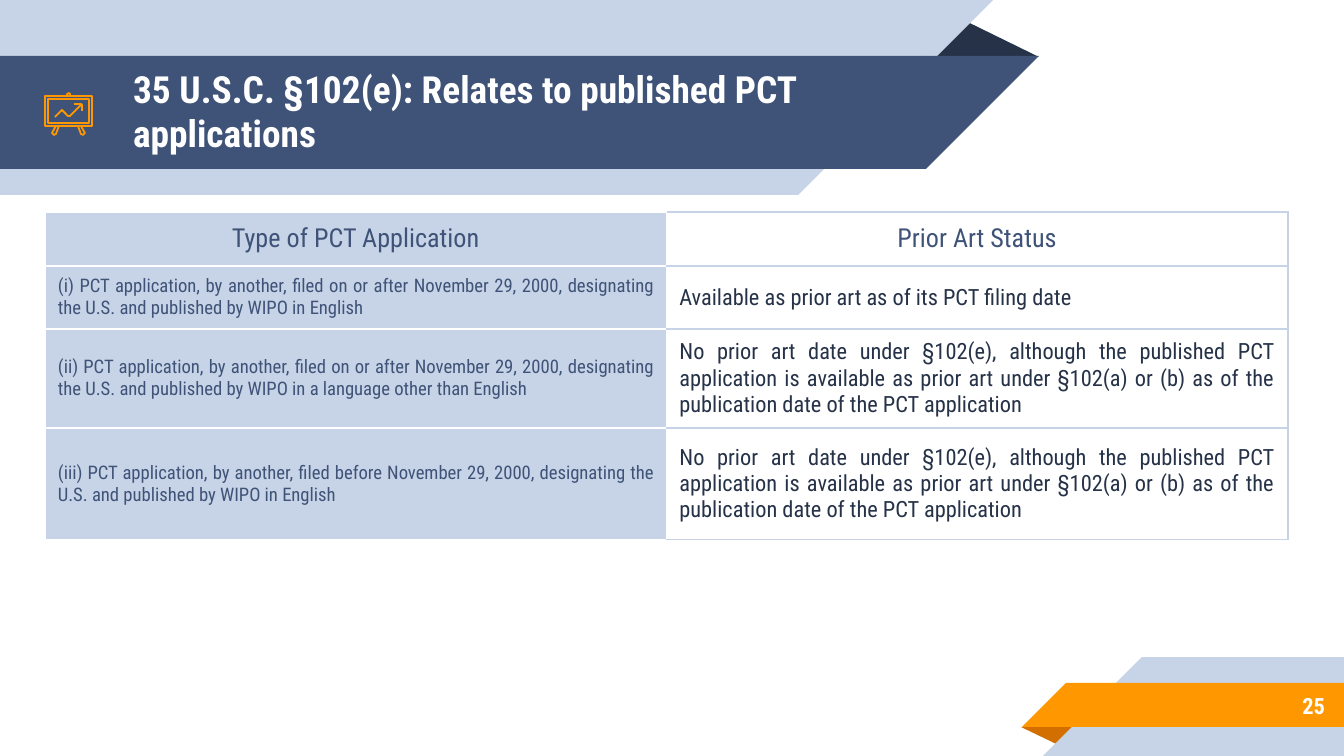
from lxml.etree import SubElement
from pptx import Presentation
from pptx.dml.color import RGBColor
from pptx.enum.shapes import MSO_SHAPE
from pptx.enum.text import MSO_ANCHOR, MSO_AUTO_SIZE, PP_ALIGN
from pptx.oxml.ns import qn
from pptx.util import Emu, Pt

PX = 914400 / 134.4
FONT = "Roboto Condensed"
LIGHT, NAVY, DARK = "C7D3E6", "3F5378", "263248"
ORANGE, RUST, WHITE = "FF9800", "D26F00", "FFFFFF"

ROW_HEIGHTS = [54, 63, 99, 112]
NO_DATE = (
    "No prior art date under §102(e), although the published PCT application is "
    "available as prior art under §102(a) or (b) as of the publication date of "
    "the PCT application"
)
ROWS = [
    ("Type of PCT Application", "Prior Art Status"),
    ("(i) PCT application, by another, filed on or after November 29, 2000, "
     "designating the U.S. and published by WIPO in English",
     "Available as prior art as of its PCT filing date"),
    ("(ii) PCT application, by another, filed on or after November 29, 2000, "
     "designating the U.S. and published by WIPO in a language other than English",
     NO_DATE),
    ("(iii) PCT application, by another, filed before November 29, 2000, "
     "designating the U.S. and published by WIPO in English",
     NO_DATE),
]


def px(n):
    """Turn pixels into EMU."""
    return Emu(round(n * PX))


def rgb(color):
    """Turn a hex string into a colour."""
    return RGBColor.from_string(color)


def write(tf, text, size=12, color=WHITE, bold=False, align=PP_ALIGN.LEFT):
    """Write one formatted paragraph into a text frame."""
    p = tf.paragraphs[0]
    p.alignment = align
    r = p.add_run()
    r.text = text
    r.font.name, r.font.size, r.font.bold = FONT, Pt(size), bold
    r.font.color.rgb = rgb(color)


def pad(box, x=13, y=13):
    """Centre text vertically and set the margins of a text frame or cell."""
    box.vertical_anchor = MSO_ANCHOR.MIDDLE
    box.margin_left = box.margin_right = px(x)
    box.margin_top = box.margin_bottom = px(y)


def block(s, kind, x, y, w, h, color, rotation=0):
    """Add a flat preset shape without outline."""
    sp = s.shapes.add_shape(kind, px(x), px(y), px(w), px(h))
    sp.shadow.inherit = False
    sp.fill.solid()
    sp.fill.fore_color.rgb = rgb(color)
    sp.line.fill.background()
    sp.rotation = rotation
    return sp


def fold(s, x, y, w, h, color, rotation=0):
    """Add the dark triangle behind a folded ribbon."""
    sp = block(s, MSO_SHAPE.ISOSCELES_TRIANGLE, x, y, w, h, color, rotation)
    sp.adjustments[0] = 0.32


def ribbon_from_left(s, y, w, h, color):
    """Add a band from the left edge with a slanted right end."""
    block(s, MSO_SHAPE.RECTANGLE, 0, y, w, h, color)
    block(s, MSO_SHAPE.RIGHT_TRIANGLE, w, y, h, h, color, 90)


def ribbon_to_right(s, x, y, h, color):
    """Add a band to the right edge with a slanted left end."""
    block(s, MSO_SHAPE.RECTANGLE, x, y, 1344 - x, h, color)
    block(s, MSO_SHAPE.RIGHT_TRIANGLE, x - h, y, h, h, color, 270)


def header(s, text, x, y, w, h):
    """Draw the top ribbons and place the title on them."""
    fold(s, 925, y - 37, 114, 38, DARK)
    ribbon_from_left(s, 0, 798, 195, LIGHT)
    ribbon_from_left(s, y, 926, h, NAVY)
    title = s.shapes.title
    title.left, title.top, title.width, title.height = px(x), px(y - 2), px(w), px(h)
    tf = title.text_frame
    tf.word_wrap = True
    tf.auto_size = MSO_AUTO_SIZE.NONE
    pad(tf)
    write(tf, text, size=20, bold=True)
    title.element.getparent().append(title.element)


def footer(s, number, x, y, h):
    """Draw the bottom ribbons and the page number."""
    fold(s, x - 45, y + h, 58, 19, RUST, 180)
    ribbon_to_right(s, 1142, y - 26, 99, LIGHT)
    ribbon_to_right(s, x, y, h, ORANGE)
    tf = s.shapes.add_textbox(px(1119), px(y - 1), px(219), px(h + 3)).text_frame
    tf.word_wrap = True
    pad(tf)
    write(tf, number, bold=True, align=PP_ALIGN.RIGHT)


def set_borders(cell, colors):
    """Set the left, right, top and bottom borders of a cell."""
    tc_pr = cell._tc.get_or_add_tcPr()
    for side, color in zip("LRTB", colors):
        ln = SubElement(tc_pr, qn(f"a:ln{side}"), w=str(Pt(0.75)))
        SubElement(SubElement(ln, qn("a:solidFill")), qn("a:srgbClr"), val=color)


def status_table(s, x, y, w):
    """Add the table of application types and their prior art status."""
    frame = s.shapes.add_table(len(ROWS), 2, px(x), px(y), px(w), px(sum(ROW_HEIGHTS)))
    table = frame.table
    table.first_row = table.horz_banding = False
    for i, (row, height) in enumerate(zip(ROWS, ROW_HEIGHTS)):
        table.rows[i].height = px(height)
        for j, text in enumerate(row):
            cell = table.cell(i, j)
            pad(cell, y=9)
            set_borders(cell, [WHITE] + [LIGHT if j else WHITE] * 3)
            if j:
                cell.fill.background()
            else:
                cell.fill.solid()
                cell.fill.fore_color.rgb = rgb(LIGHT)
            if i == 0:
                style = dict(size=14, color=NAVY, align=PP_ALIGN.CENTER)
            else:
                style = dict(size=12 if j else 10, color=DARK if j else NAVY,
                             align=PP_ALIGN.JUSTIFY)
            write(cell.text_frame, text, **style)


def outline(s, x, y, points, close=False):
    """Draw an orange line through points relative to x and y."""
    builder = s.shapes.build_freeform(*points[0], scale=PX)
    builder.add_line_segments(points[1:], close=close)
    sp = builder.convert_to_shape(px(x), px(y))
    sp.shadow.inherit = False
    sp.fill.background()
    sp.line.color.rgb = rgb(ORANGE)
    sp.line.width = Pt(0.96)


def board_icon(s, x, y):
    """Draw a presentation board with a rising trend."""
    w, top, bottom = 47, 4, 34
    for d in (0, 3):
        corners = [(d, top + d), (w - d, top + d), (w - d, bottom - d), (d, bottom - d)]
        outline(s, x, y, corners, close=True)
    leg = [(11, bottom), (7, 41), (9, 43), (11, 42), (14, bottom)]
    knob = [(22, top), (22, 2), (24, 1), (25, 2), (25, top)]
    trend = [(36, 13), (25, 24), (23, 24), (17, 18), (10, 25)]
    arrow = [(29, 12), (36, 12), (37, 13), (37, 19)]
    for points in (knob, leg, [(w - a, b) for a, b in leg], trend, arrow):
        outline(s, x, y, points)


def main():
    """Build and save the slide."""
    prs = Presentation()
    prs.slide_width, prs.slide_height = px(1344), px(756)
    s = prs.slides.add_slide(prs.slide_layouts[5])
    header(s, "35 U.S.C. §102(e): Relates to published PCT applications", 120, 56, 788, 113)
    footer(s, "25", 1066, 683, 44)
    status_table(s, 45, 212, 1243)
    board_icon(s, 45, 92)
    prs.save("out.pptx")


if __name__ == "__main__":
    main()
